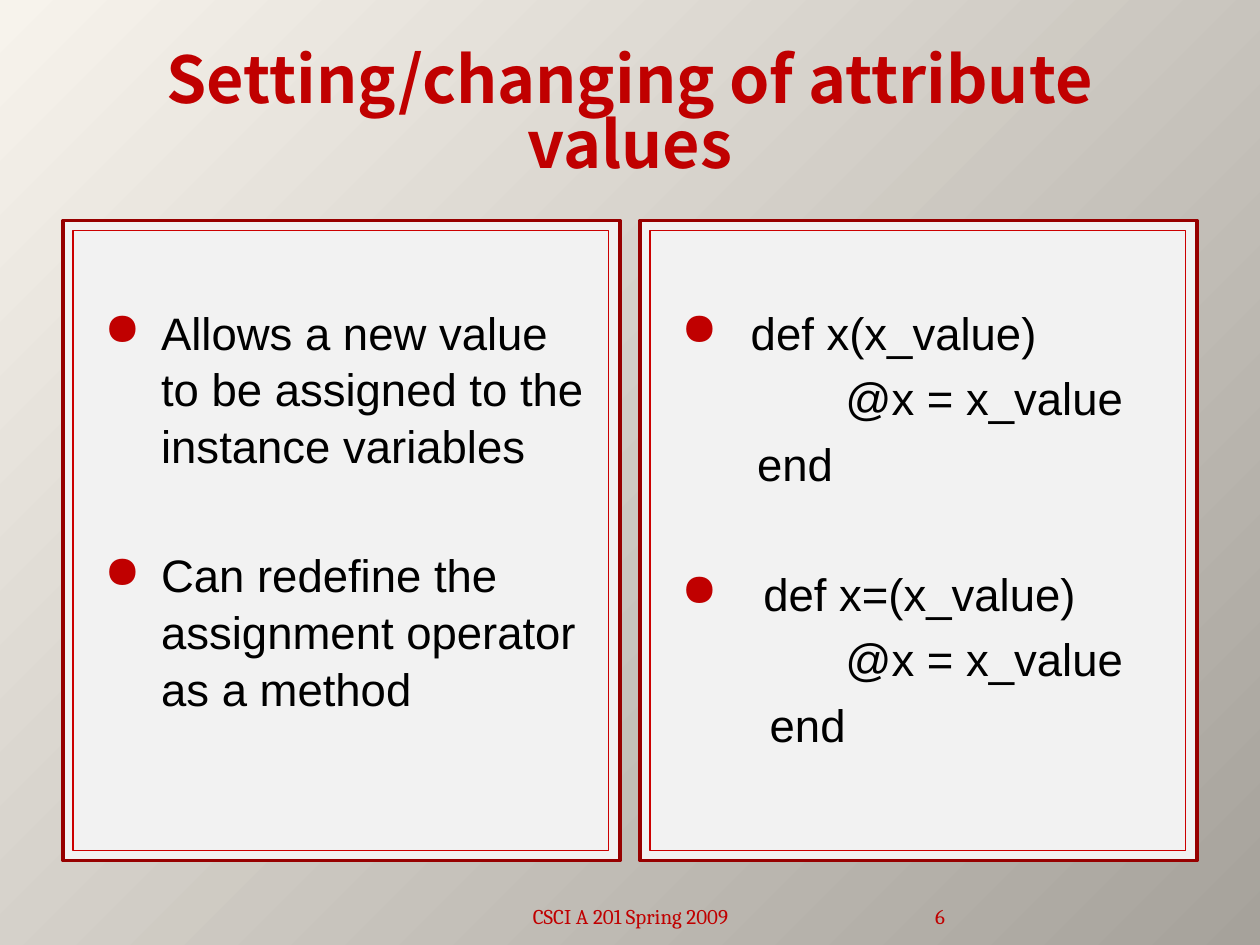
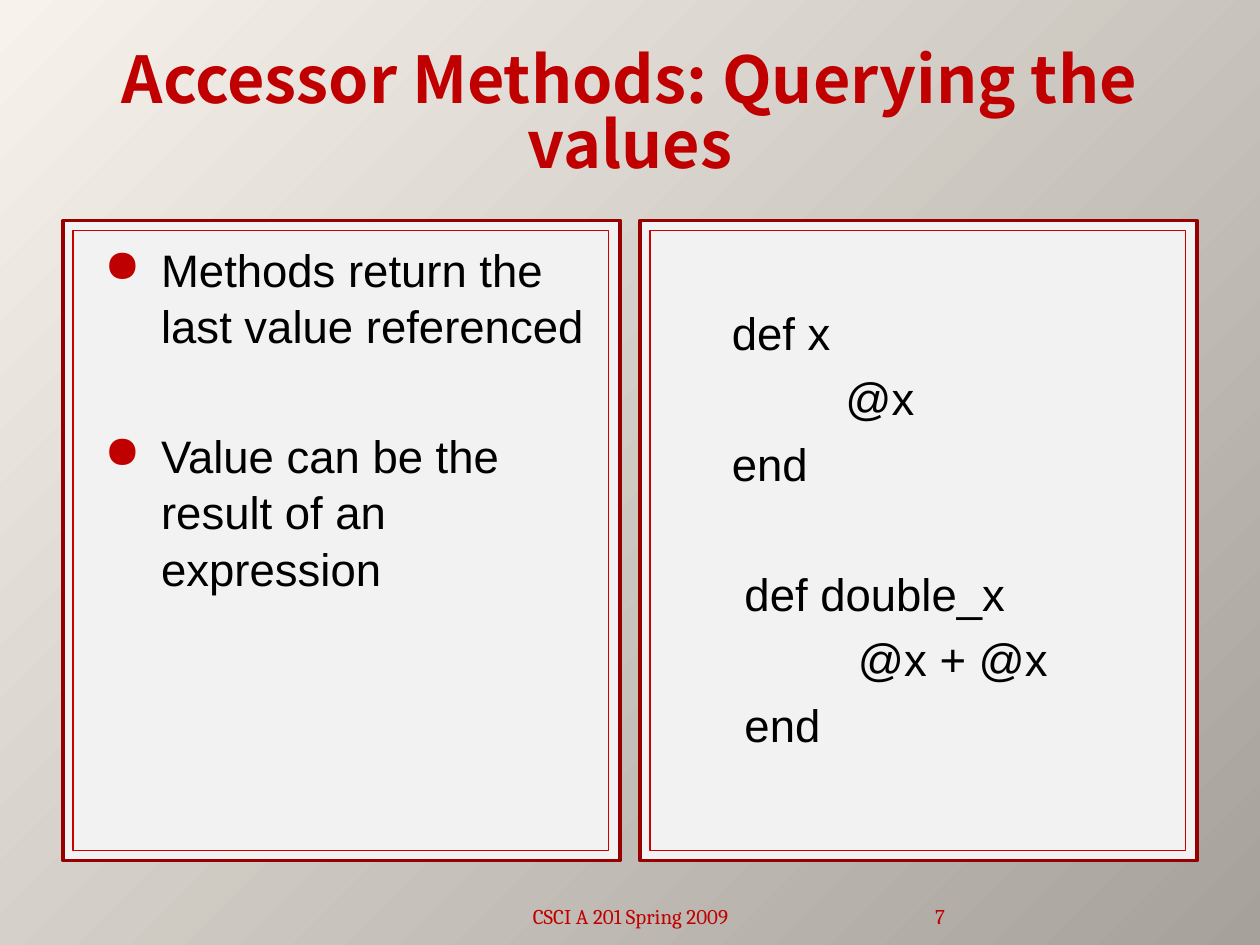
from lxml import etree
from pptx import Presentation
from pptx.dml.color import RGBColor
from pptx.enum.shapes import MSO_SHAPE as Preset
from pptx.enum.text import MSO_ANCHOR as Anchor, PP_ALIGN as Align
from pptx.oxml.ns import qn
from pptx.util import Inches, Pt

RED = RGBColor(0xC0, 0x00, 0x00)
FRAME_RED = RGBColor(0x97, 0x00, 0x00)
BORDER_RED = RGBColor(0xCC, 0x00, 0x00)
PANEL_GRAY = RGBColor(0xF2, 0xF2, 0xF2)
BLACK = RGBColor(0x00, 0x00, 0x00)
CREAM = RGBColor(0xF7, 0xF3, 0xEC)
STONE = RGBColor(0xA6, 0xA2, 0x9B)

TITLE_FONT, BODY_FONT, FOOTER_FONT = "Noto Sans CJK SC", "Arial", "Cambria"
FOOTER = "CSCI A 201 Spring 2009"
BULLET = "●"
BODY_SIZE = 26
LINE_GAP = 5.2
GROUP_GAP = 41.5
PANEL_LEFT, PANEL_PITCH, BORDER_INSET = 0.5, 4.58, 0.08
TOP_MARGIN, LOWERED_MARGIN = 0.07, 0.57

SLIDES = [
    (6, "Setting/changing of attribute values", [
        (LOWERED_MARGIN, [
            [(True, "Allows a new value to be assigned to the instance variables")],
            [(True, "Can redefine the assignment operator as a method")],
        ]),
        (LOWERED_MARGIN, [
            [(True, " def x(x_value)"),
             (False, "             @x = x_value"),
             (False, "      end")],
            [(True, "  def x=(x_value)"),
             (False, "             @x = x_value"),
             (False, "       end")],
        ]),
    ]),
    (7, "Accessor Methods: Querying the values", [
        (TOP_MARGIN, [
            [(True, "Methods return the last value referenced")],
            [(True, "Value can be the result of an expression")],
        ]),
        (LOWERED_MARGIN, [
            [(False, "    def x"),
             (False, "             @x"),
             (False, "    end")],
            [(False, "     def double_x"),
             (False, "              @x + @x"),
             (False, "     end")],
        ]),
    ]),
]


def set_background(slide):
    fill = slide.background.fill
    fill.gradient()
    fill.gradient_angle = 315
    for stop, color in zip(fill.gradient_stops, (CREAM, STONE)):
        stop.color.rgb = color


def add_run(paragraph, text, font_name, size, color, bold=False):
    run = paragraph.add_run()
    run.text = text
    font = run.font
    font.name, font.size, font.bold = font_name, Pt(size), bold
    font.color.rgb = color


def add_label(slide, text, box, font_name, size, align, anchor,
              bold=False, side_margin=0.1, line_spacing=None):
    shape = slide.shapes.add_textbox(*map(Inches, box))
    frame = shape.text_frame
    frame.word_wrap = True
    frame.vertical_anchor = anchor
    frame.margin_left = frame.margin_right = Inches(side_margin)
    paragraph = frame.paragraphs[0]
    paragraph.alignment = align
    paragraph.line_spacing = line_spacing
    add_run(paragraph, text, font_name, size, RED, bold)


def add_box(slide, box, line_color, line_width):
    shape = slide.shapes.add_shape(Preset.RECTANGLE, *map(Inches, box))
    shape.shadow.inherit = False
    shape.fill.solid()
    shape.fill.fore_color.rgb = PANEL_GRAY
    shape.line.color.rgb = line_color
    shape.line.width = Pt(line_width)
    return shape


def format_body_line(paragraph, bulleted, gap):
    properties = paragraph._p.get_or_add_pPr()
    properties.set("marL", str(Inches(0.6)))
    properties.set("indent", str(Inches(-0.45)))
    if bulleted:
        bullet_color = etree.SubElement(properties, qn("a:buClr"))
        etree.SubElement(bullet_color, qn("a:srgbClr"), val=str(RED))
        etree.SubElement(properties, qn("a:buChar"), char=BULLET)
    paragraph.alignment = Align.LEFT
    paragraph.line_spacing = 1.04
    paragraph.space_before = Pt(gap)


def add_panel(slide, column, top_margin, groups):
    left = PANEL_LEFT + column * PANEL_PITCH
    add_box(slide, (left, 1.75, 4.42, 5.08), FRAME_RED, 2)
    body = add_box(slide, (left + BORDER_INSET, 1.83, 4.25, 4.92), BORDER_RED, 0.75)
    frame = body.text_frame
    frame.word_wrap = True
    frame.vertical_anchor = Anchor.TOP
    frame.margin_top = Inches(top_margin)
    for group_index, group in enumerate(groups):
        for line_index, (bulleted, text) in enumerate(group):
            first = group_index == line_index == 0
            paragraph = frame.paragraphs[0] if first else frame.add_paragraph()
            gap = 0 if first else LINE_GAP if line_index else GROUP_GAP
            format_body_line(paragraph, bulleted, gap)
            add_run(paragraph, text, BODY_FONT, BODY_SIZE, BLACK)


def add_footer(slide, number):
    add_label(slide, FOOTER, (3.42, 7.02, 3.17, 0.4), FOOTER_FONT, 12,
              Align.CENTER, Anchor.BOTTOM)
    add_label(slide, str(number), (6.67, 7.02, 0.83, 0.4), FOOTER_FONT, 12,
              Align.RIGHT, Anchor.BOTTOM, side_margin=0)


def main():
    presentation = Presentation()
    presentation.slide_width = Inches(10)
    presentation.slide_height = Inches(7.5)
    for number, title, panels in SLIDES:
        slide = presentation.slides.add_slide(presentation.slide_layouts[6])
        set_background(slide)
        add_label(slide, title, (0.5, 0.3, 9, 1.25), TITLE_FONT, 36.9,
                  Align.CENTER, Anchor.MIDDLE, bold=True, line_spacing=0.83)
        for column, (top_margin, groups) in enumerate(panels):
            add_panel(slide, column, top_margin, groups)
        add_footer(slide, number)
    presentation.save("out.pptx")


if __name__ == "__main__":
    main()
